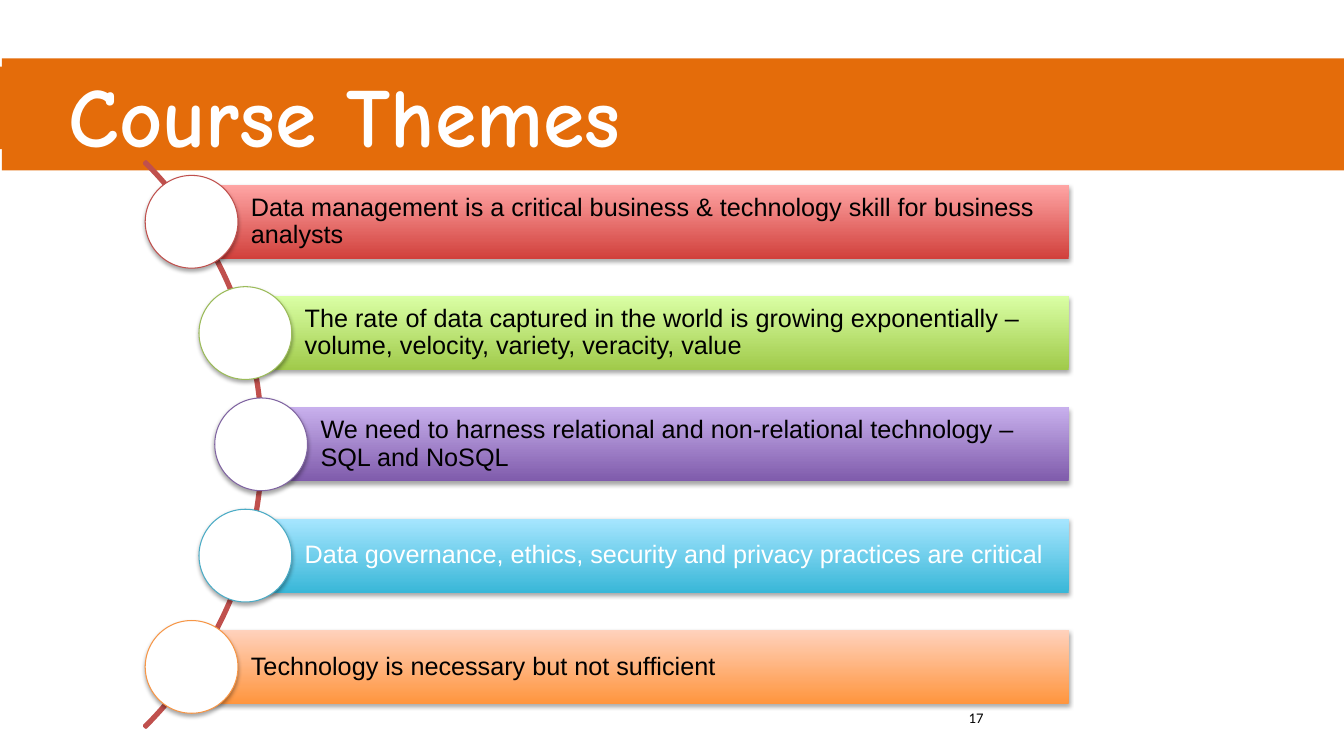
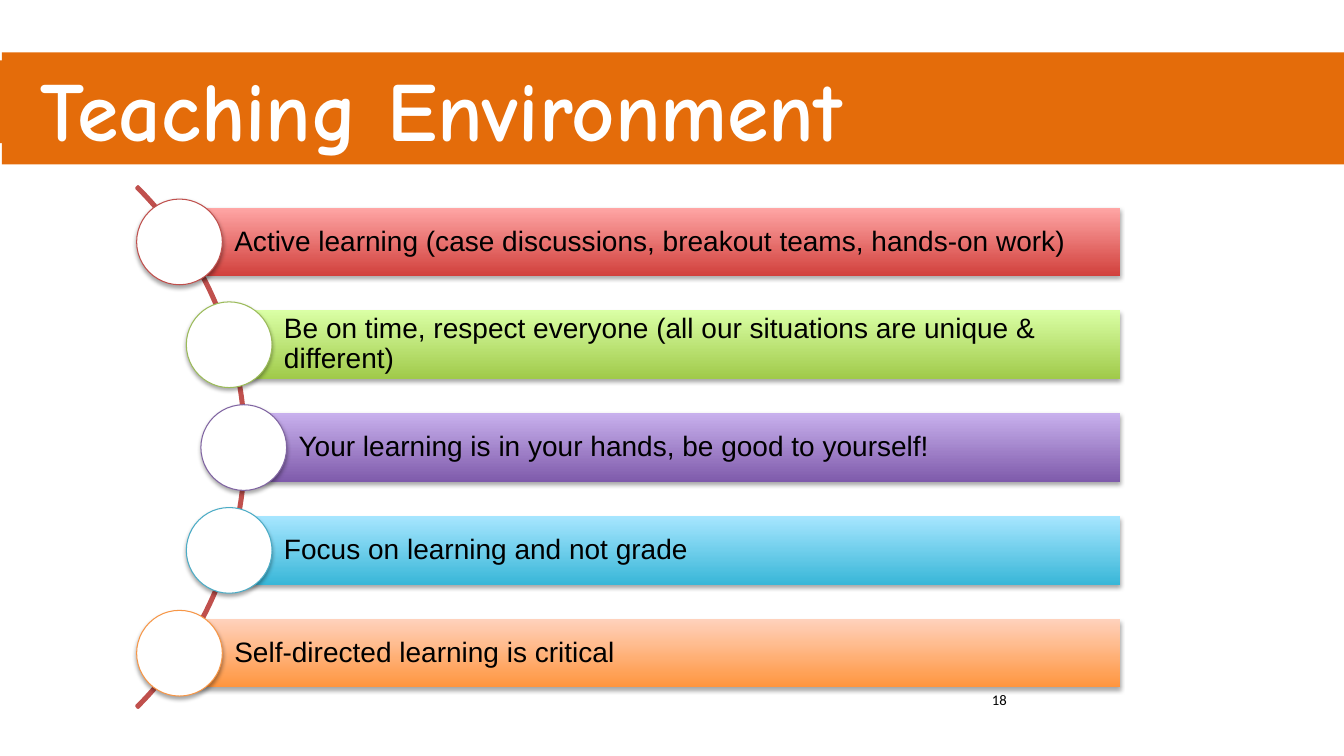
import pptx
import pptx.dml.color
import pptx.enum.shapes
import pptx.enum.text
import pptx.oxml
import pptx.oxml.ns
import pptx.util
from dataclasses import dataclass

Inches = pptx.util.Inches
Pt = pptx.util.Pt
SHAPE = pptx.enum.shapes.MSO_SHAPE
ANCHOR = pptx.enum.text.MSO_ANCHOR

SLIDES = [
    {
        "title": "Course Themes", "title_indent": 0.66, "band_top": 0.58,
        "number": "17", "number_box": (9.51, 6.98, 2.76, 0.38),
        "arc": (-5.33, 0.44, 7.94),
        "first_center": (1.9, 2.2), "diameter": 0.92, "bar_right": 10.6, "text_size": 18,
        "white_rows": (3,),
        "rows": [
            "Data management is a critical business & technology skill for business analysts",
            "The rate of data captured in the world is growing exponentially – volume, velocity, variety, veracity, value",
            "We need to harness relational and non-relational technology – SQL and NoSQL",
            "Data governance, ethics, security and privacy practices are critical",
            "Technology is necessary but not sufficient",
        ],
    },
    {
        "title": "Teaching Environment", "title_indent": 0.38, "band_top": 0.52,
        "number": "18", "number_box": (9.74, 6.8, 2.8, 0.35),
        "arc": (-4.87, 0.78, 7.31),
        "first_center": (1.78, 2.4), "diameter": 0.85, "bar_right": 11.11, "text_size": 20,
        "white_rows": (),
        "rows": [
            "Active learning (case discussions, breakout teams, hands-on work)",
            "Be on time, respect everyone (all our situations are unique & different)",
            "Your learning is in your hands, be good to yourself!",
            "Focus on learning and not grade",
            "Self-directed learning is critical",
        ],
    },
]


@dataclass(frozen=True)
class Theme:
    band: str = "E46C0A"
    white: str = "FFFFFF"
    black: str = "000000"
    arc: str = "C0504D"
    rows: tuple = (
        ("C0504D", "D1403C", "FFA6A5"),
        ("9BBB59", "A0CA4A", "DAFFA5"),
        ("8064A2", "7F5BAB", "C8B0ED"),
        ("4BACC6", "39B7D8", "A7E6FF"),
        ("F79646", "FF953E", "FFD2BD"),
    )
    title_font: str = "Comic Neue"
    body_font: str = "Arial"
    number_font: str = "Calibri"
    title_size: float = 60
    number_size: float = 10.5


THEME = Theme()
ROW_SHIFTS = (0, 0.58, 0.75, 0.58, 0)
ROW_PITCH = 1.2
BAR_HEIGHT = 0.8
TEXT_INDENT = 0.64


def rgb(value):
    return pptx.dml.color.RGBColor.from_string(value)


def add_shape(shapes, kind, box, fill=None, line=None, width=0.75):
    sp = shapes.add_shape(kind, *map(Inches, box))
    sp.shadow.inherit = False
    if fill:
        sp.fill.solid()
        sp.fill.fore_color.rgb = rgb(fill)
    else:
        sp.fill.background()
    if line:
        sp.line.color.rgb = rgb(line)
        sp.line.width = Pt(width)
    else:
        sp.line.fill.background()
    return sp


def add_shadow(sp):
    effects = sp._element.spPr.find(pptx.oxml.ns.qn("a:effectLst"))
    effects.append(pptx.oxml.parse_xml(
        f'<a:outerShdw {pptx.oxml.ns.nsdecls("a")} blurRad="{Pt(3.1)}" dist="{Pt(1.8)}"'
        ' dir="5400000" rotWithShape="0">'
        f'<a:srgbClr val="{THEME.black}"><a:alpha val="35000"/></a:srgbClr></a:outerShdw>'))


def write(tf, text, font, size, color, bold=False):
    tf.word_wrap = True
    p = tf.paragraphs[0]
    p.text = text
    p.alignment = pptx.enum.text.PP_ALIGN.LEFT
    p.font.name = font
    p.font.size = Pt(size)
    p.font.color.rgb = rgb(color)
    p.font.bold = bold
    return p


def add_title(s, data):
    top = data["band_top"]
    add_shape(s.shapes, SHAPE.RECTANGLE, (0, top + 0.08, 13.33, 0.82), THEME.band)
    sp = add_shape(s.shapes, SHAPE.RECTANGLE, (0.02, top, 13.36, 1.11), THEME.band)
    tf = sp.text_frame
    tf.vertical_anchor = ANCHOR.TOP
    tf.margin_left = Inches(data["title_indent"])
    write(tf, data["title"], THEME.title_font, THEME.title_size, THEME.white, True)
    tf.auto_size = pptx.enum.text.MSO_AUTO_SIZE.SHAPE_TO_FIT_TEXT


def add_row(shapes, data, i, text):
    outline, dark, light = THEME.rows[i]
    d = data["diameter"]
    x = data["first_center"][0] + ROW_SHIFTS[i] * d
    y = data["first_center"][1] + i * ROW_PITCH * d
    height = BAR_HEIGHT * d

    bar = add_shape(shapes, SHAPE.RECTANGLE, (x, y - height / 2, data["bar_right"] - x, height))
    bar.fill.gradient()
    bar.fill.gradient_angle = 90
    for stop, color in zip(bar.fill.gradient_stops, (dark, light)):
        stop.color.rgb = rgb(color)
    add_shadow(bar)

    tf = bar.text_frame
    tf.vertical_anchor = ANCHOR.MIDDLE
    tf.margin_top = tf.margin_right = tf.margin_bottom = Pt(data["text_size"] * 0.2)
    tf.margin_left = Inches(TEXT_INDENT * d)
    color = THEME.white if i in data["white_rows"] else THEME.black
    p = write(tf, text, THEME.body_font, data["text_size"], color)
    p.line_spacing = 0.9

    circle = add_shape(shapes, SHAPE.OVAL, (x - d / 2, y - d / 2, d, d), THEME.white, outline)
    add_shadow(circle)


def add_diagram(s, data):
    shapes = s.shapes.add_group_shape().shapes
    left, top, size = data["arc"]
    arc = add_shape(shapes, SHAPE.BLOCK_ARC, (left, top, size, size), line=THEME.arc, width=2)
    for i, value in enumerate((189, 27, 0.003)):
        arc.adjustments[i] = value
    for i, text in enumerate(data["rows"]):
        add_row(shapes, data, i, text)


def add_number(s, data):
    sp = s.shapes.add_textbox(*map(Inches, data["number_box"]))
    write(sp.text_frame, data["number"], THEME.number_font, THEME.number_size, THEME.black)


def main():
    prs = pptx.Presentation()
    prs.slide_width = Inches(13.33)
    prs.slide_height = Inches(7.5)
    for data in SLIDES:
        s = prs.slides.add_slide(prs.slide_layouts[6])
        add_title(s, data)
        add_diagram(s, data)
        add_number(s, data)
    prs.save("out.pptx")


if __name__ == "__main__":
    main()
